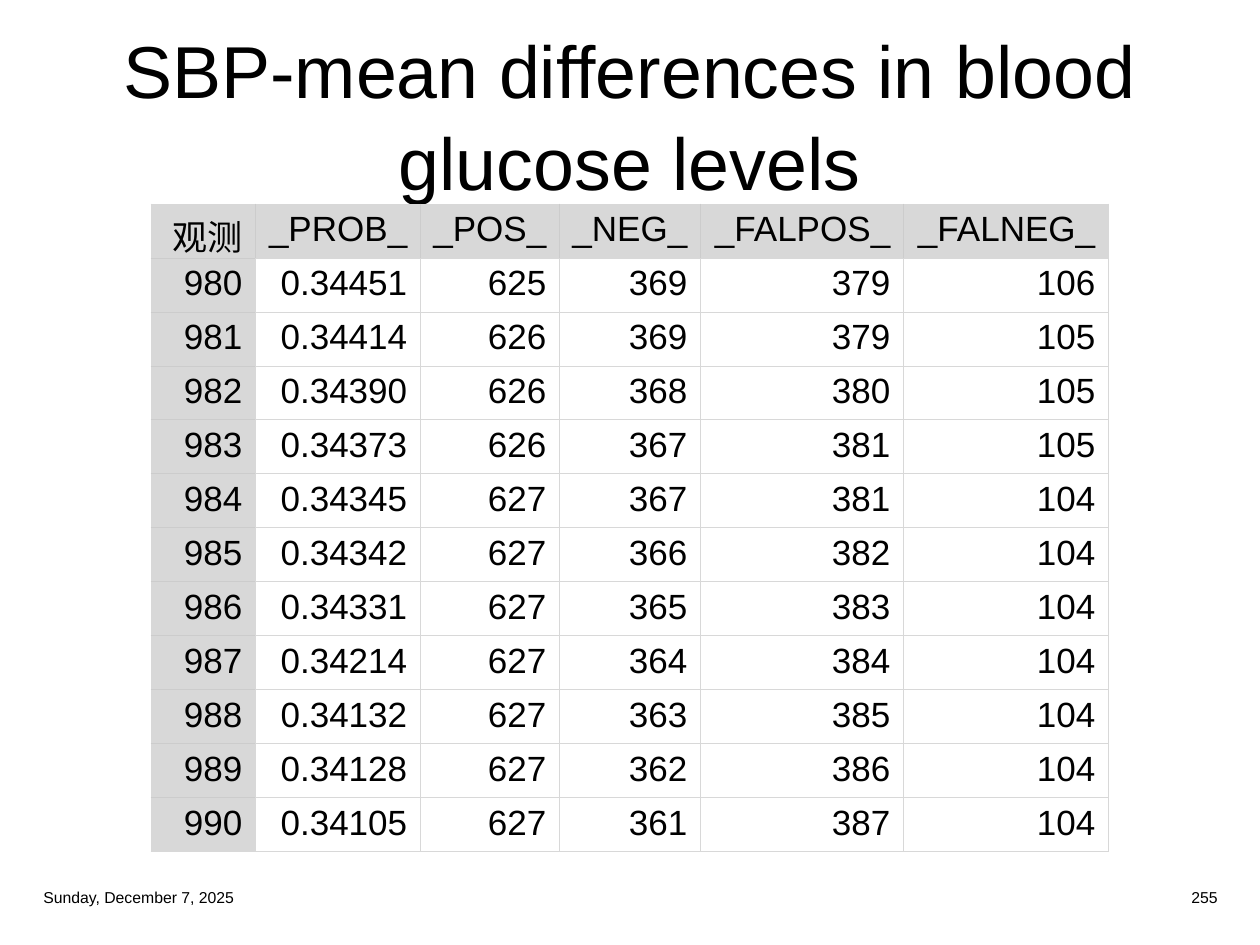
from lxml.etree import SubElement as Sub
from pptx import Presentation as Deck
from pptx.dml.color import RGBColor as Rgb
from pptx.enum.text import MSO_ANCHOR as Anchor, PP_ALIGN as Align
from pptx.oxml.ns import qn
from pptx.util import Pt

SCALE = 914400 / 126
INK = {"text": "000000", "head": "D8D8D8", "rule": "CCCCCC", "page": "FFFFFF"}
HEADS = ["观测", "_PROB_", "_POS_", "_NEG_", "_FALPOS_", "_FALNEG_"]
ROWS = [
    ["980", "0.34451", "625", "369", "379", "106"],
    ["981", "0.34414", "626", "369", "379", "105"],
    ["982", "0.34390", "626", "368", "380", "105"],
    ["983", "0.34373", "626", "367", "381", "105"],
    ["984", "0.34345", "627", "367", "381", "104"],
    ["985", "0.34342", "627", "366", "382", "104"],
    ["986", "0.34331", "627", "365", "383", "104"],
    ["987", "0.34214", "627", "364", "384", "104"],
    ["988", "0.34132", "627", "363", "385", "104"],
    ["989", "0.34128", "627", "362", "386", "104"],
    ["990", "0.34105", "627", "361", "387", "104"],
]
WIDTHS = [104, 165, 139, 141, 203, 205]


def px(num):
    return int(num * SCALE)


def write(frame, text, size=20, align=Align.LEFT, space=None):
    para = frame.paragraphs[0]
    para.text = text
    para.alignment = align
    para.line_spacing = space
    for run in para.runs:
        run.font.name = "Arial"
        run.font.size = Pt(size)
        run.font.color.rgb = Rgb.from_string(INK["text"])


def label(slide, box, text, **form):
    frame = slide.shapes.add_textbox(*map(px, box)).text_frame
    frame.word_wrap = True
    frame.vertical_anchor = Anchor.MIDDLE
    write(frame, text, **form)


def edge(cell, sides):
    props = cell._tc.get_or_add_tcPr()
    for spot, (side, tint) in enumerate(sides.items()):
        line = Sub(props, qn(f"a:ln{side}"), w=str(Pt(0.5)))
        fill = Sub(line, qn("a:solidFill"))
        Sub(fill, qn("a:srgbClr"), val=INK[tint])
        props.insert(spot, line)


def grid(slide, box):
    data = [HEADS] + ROWS
    last, end = len(data) - 1, len(HEADS) - 1
    table = slide.shapes.add_table(len(data), len(HEADS), *map(px, box)).table
    table.first_row = table.horz_banding = False
    for col, width in zip(table.columns, WIDTHS):
        col.width = px(width)
    for row in table.rows:
        row.height = px(box[3] / len(data))
    for r, row in enumerate(data):
        for c, text in enumerate(row):
            cell = table.cell(r, c)
            cell.margin_top = cell.margin_bottom = px(6)
            write(cell.text_frame, text, align=Align.RIGHT)
            head = r == 0 or c == 0
            cell.fill.solid()
            cell.fill.fore_color.rgb = Rgb.from_string(INK["head" if head else "page"])
            outer = {"L": c == 0, "R": c == end, "T": r == 0, "B": r == last}
            edge(cell, {
                side: "rule" if head and not rim else "head"
                for side, rim in outer.items()
            })


def foot(slide, box):
    left, top, width, high = box
    side = 300
    label(slide, (left, top, side, high), "Sunday, December 7, 2025", size=9)
    label(slide, (left + width - side, top, side, high), "255", size=9, align=Align.RIGHT)


def main():
    deck = Deck()
    deck.slide_width, deck.slide_height = px(1260), px(945)
    slide = deck.slides.add_slide(deck.slide_layouts[6])
    title = "SBP-mean differences in blood\nglucose levels"
    label(slide, (31, 31, 1197, 165), title, size=42, align=Align.CENTER, space=1.04)
    grid(slide, (151, 204, sum(WIDTHS), 630))
    foot(slide, (31, 881, 1199, 33))
    deck.save("out.pptx")


if __name__ == "__main__":
    main()
